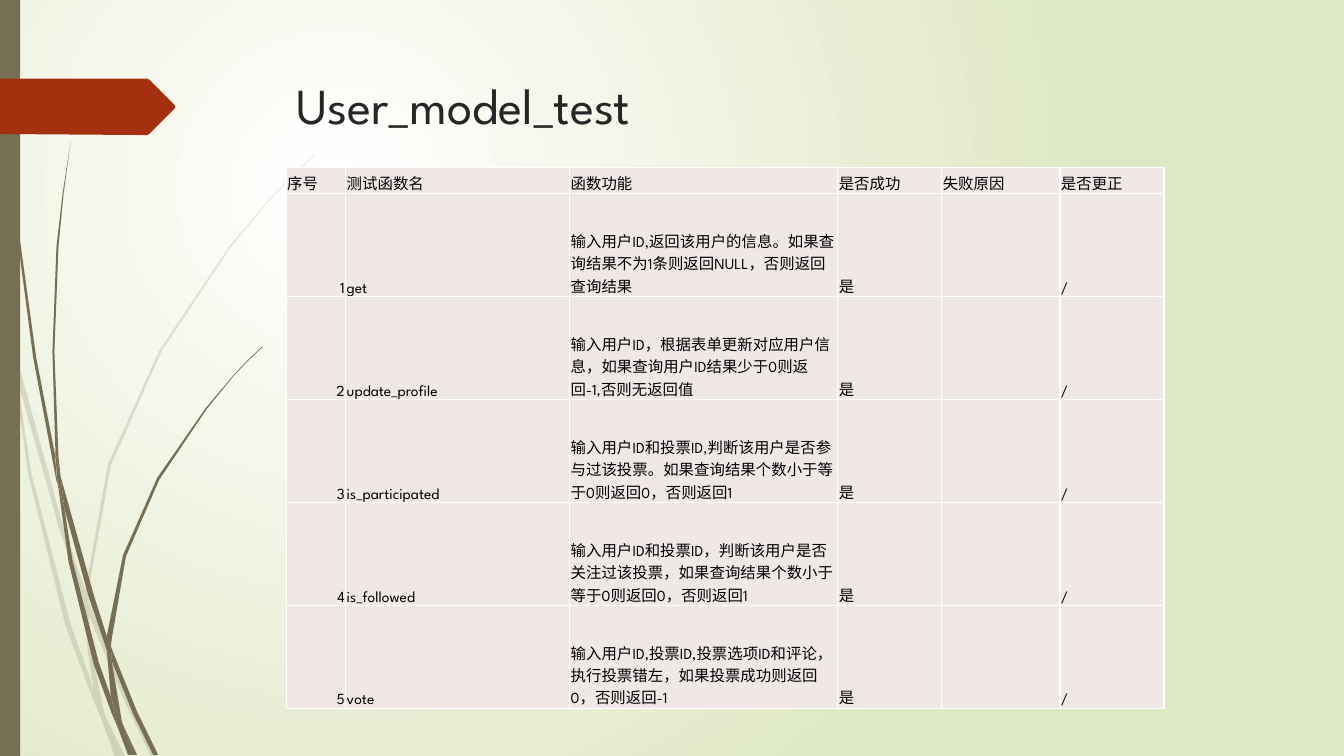
from dataclasses import dataclass

from lxml import etree
from pptx import Presentation
from pptx import util as u
from pptx.dml.color import RGBColor
from pptx.enum import shapes, text
from pptx.oxml import ns

PALE_WISPS = [
    "11,350 9,322 0,282 0,299 10,344",
    "58,522 84,599 85,586 62,520 14,345 17,376",
    "92,607 88,596 88,610 123,694 150,751 155,751 127,692",
    "119,751 124,751 105,711",
    "93,683 70,619 31,469 17,376 11,350 28,470 65,621 92,693 101,714 99,707",
    "84,599 87,646 93,683 96,692 105,711 103,706 91,646 88,610 88,608",
    "88,584 110,462 160,349 229,245 268,198 290,175 312,154 312,153 289,175 268,197 228,244 "
    "158,348 107,461 85,584 85,586 88,596",
    "101,714 114,751 119,751",
    "88,608 88,610 88,596 85,586 84,599",
    "96,692 93,683 99,707 101,714 119,751 105,711",
]
DARK_WISPS = [
    "7,110 17,233 33,355 56,477 57,481 55,457 55,453 36,355 19,232 8,109 5,48 4,0 3,0 4,48",
    "88,592 106,645 106,633 106,631 93,590 60,472 64,505",
    "113,649 110,641 111,656 132,708 152,749 157,749 136,706",
    "110,691 98,657 72,556 64,505 57,477 68,557 93,659 111,708 117,722 116,717",
    "60,472 58,453 54,349 58,245 63,193 70,141 62,193 56,245 52,349 55,449",
    "133,749 136,749 122,719",
    "57,477 64,505 60,472 55,449 55,453",
    "111,633 125,552 158,476 205,406 231,374 245,359 261,344 260,344 245,358 231,373 204,405 "
    "156,474 122,551 106,631 110,641",
    "117,722 127,749 131,749",
    "106,645 110,691 116,706 122,719 121,716 111,656 109,651",
    "106,645 109,651 111,656 110,641 106,631 106,633",
    "116,706 110,691 116,717 117,722 130,749 133,749 122,719",
]
PENNANT = "173,108 148,133 146,134 136,134 0,133 0,78 136,78 146,78 148,79 173,104 174,106"

HEADINGS = ["序号", "测试函数名", "函数功能", "是否成功", "失败原因", "是否更正"]
TESTS = [
    ("get", "输入用户ID,返回该用户的信息。如果查询结果不为1条则返回NULL，否则返回查询结果"),
    ("update_profile", "输入用户ID，根据表单更新对应用户信息，如果查询用户ID结果少于0则返回-1,否则无返回值"),
    ("is_participated", "输入用户ID和投票ID,判断该用户是否参与过该投票。如果查询结果个数小于等于0则返回0，否则返回1"),
    ("is_followed", "输入用户ID和投票ID，判断该用户是否关注过该投票，如果查询结果个数小于等于0则返回0，否则返回1"),
    ("vote", "输入用户ID,投票ID,投票选项ID和评论，执行投票错左，如果投票成功则返回0，否则返回-1"),
]


@dataclass(frozen=True)
class Theme:
    font: str = "League Spartan"
    title_size: float = 36
    cell_size: float = 11
    title_ink: str = "262626"
    cell_ink: str = "000000"
    cell_fill: str = "F0E8E7"
    border: str = "FFFFFF"
    glow: str = "FFFFFF"
    backdrop: str = "DFE8C4"
    stem: str = "766F54"
    pennant: str = "A53010"
    pale_alpha: int = 20
    outline_unit: float = 0.72


class SlideBuilder:
    """Draws styled elements on the current slide."""

    def __init__(self, slide, theme):
        self.slide = slide
        self.theme = theme

    def apply(self, target, values):
        for name, value in values.items():
            setattr(target, name, value)

    def child(self, parent, tag, attributes):
        return etree.SubElement(parent, ns.qn(tag), attributes)

    def add_words(self, frame, words, size, ink, align=text.PP_ALIGN.LEFT):
        para = frame.paragraphs[0]
        para.alignment = align
        span = para.add_run()
        span.text = words
        self.apply(span.font, {"name": self.theme.font, "size": u.Pt(size), "bold": False})
        span.font.color.rgb = RGBColor.from_string(ink)

    def background(self):
        fill = self.slide.background.fill
        fill.gradient()
        for stop, color, position in zip(fill.gradient_stops, (self.theme.glow, self.theme.backdrop), (0, 1)):
            stop.color.rgb = RGBColor.from_string(color)
            stop.position = position
        gradient = next(self.slide.element.iter(ns.qn("a:gradFill")))
        gradient.remove(gradient.find(ns.qn("a:lin")))
        radial = self.child(gradient, "a:path", {"path": "circle"})
        self.child(radial, "a:fillToRect", {"l": "50000", "t": "50000", "r": "100000", "b": "100000"})

    def paint(self, shape, color, alpha=100):
        shape.shadow.inherit = False
        shape.line.fill.background()
        shape.fill.solid()
        shape.fill.fore_color.rgb = RGBColor.from_string(color)
        if alpha < 100:
            tint = next(shape.element.spPr.iter(ns.qn("a:srgbClr")))
            self.child(tint, "a:alpha", {"val": str(alpha * 1000)})

    def outline(self, points, color, alpha=100, holder=None):
        start, *rest = [tuple(map(int, point.split(","))) for point in points.split()]
        owner = self.slide if holder is None else holder
        builder = owner.shapes.build_freeform(*start, scale=u.Pt(self.theme.outline_unit))
        builder.add_line_segments(rest, close=True)
        self.paint(builder.convert_to_shape(), color, alpha)

    def wisps(self, outlines, alpha=100):
        cluster = self.slide.shapes.add_group_shape()
        for points in outlines:
            self.outline(points, self.theme.stem, alpha, cluster)

    def bar(self, *bounds):
        box = self.slide.shapes.add_shape(shapes.MSO_SHAPE.RECTANGLE, *map(u.Pt, bounds))
        self.paint(box, self.theme.stem)

    def title(self, words, *bounds):
        box = self.slide.shapes.title
        self.apply(box, dict(zip(("left", "top", "width", "height"), map(u.Pt, bounds))))
        self.apply(box.text_frame, {"word_wrap": True, "vertical_anchor": text.MSO_ANCHOR.TOP,
                                    "auto_size": text.MSO_AUTO_SIZE.NONE})
        self.add_words(box.text_frame, words, self.theme.title_size, self.theme.title_ink)

    def cell(self, cell, words, align):
        self.apply(cell, {"margin_left": u.Pt(0.7), "margin_right": u.Pt(0.7), "margin_top": u.Pt(0.7),
                          "margin_bottom": 0, "vertical_anchor": text.MSO_ANCHOR.BOTTOM})
        if words:
            self.add_words(cell.text_frame, words, self.theme.cell_size, self.theme.cell_ink, align)
        properties = cell._tc.get_or_add_tcPr()
        for side in ("a:lnL", "a:lnR", "a:lnT", "a:lnB"):
            line = self.child(properties, side, {"w": str(int(u.Pt(1)))})
            self.child(self.child(line, "a:solidFill", {}), "a:srgbClr", {"val": self.theme.border})
        cell.fill.solid()
        cell.fill.fore_color.rgb = RGBColor.from_string(self.theme.cell_fill)

    def table(self, records, left, top, widths, heights):
        bounds = map(u.Pt, (left, top, sum(widths), sum(heights)))
        table = self.slide.shapes.add_table(len(heights), len(widths), *bounds).table
        self.apply(table, {"first_row": False, "horz_banding": False})
        for column, width in zip(table.columns, widths):
            column.width = u.Pt(width)
        for row, height, record in zip(table.rows, heights, records):
            row.height = u.Pt(height)
            for cell, words in zip(row.cells, record):
                align = text.PP_ALIGN.RIGHT if words.isdigit() else text.PP_ALIGN.LEFT
                self.cell(cell, words, align)


def main():
    deck = Presentation()
    deck.slide_width, deck.slide_height = u.Pt(960), u.Pt(540)
    theme = Theme()
    page = SlideBuilder(deck.slides.add_slide(deck.slide_layouts[5]), theme)
    page.background()
    page.wisps(PALE_WISPS, theme.pale_alpha)
    page.wisps(DARK_WISPS)
    page.bar(0, 0, 14.4, 540)
    page.outline(PENNANT, theme.pennant)
    page.title("User_model_test", 204.5, 49, 702, 101)
    records = [HEADINGS]
    records += [(str(number), name, purpose, "是", "", "/") for number, (name, purpose) in enumerate(TESTS, 1)]
    page.table(records, 204.5, 119.5, [42.5, 160, 191.5, 74.3, 84.4, 74.3], [18.8] + [73.55] * len(TESTS))
    deck.save("out.pptx")


if __name__ == "__main__":
    main()
